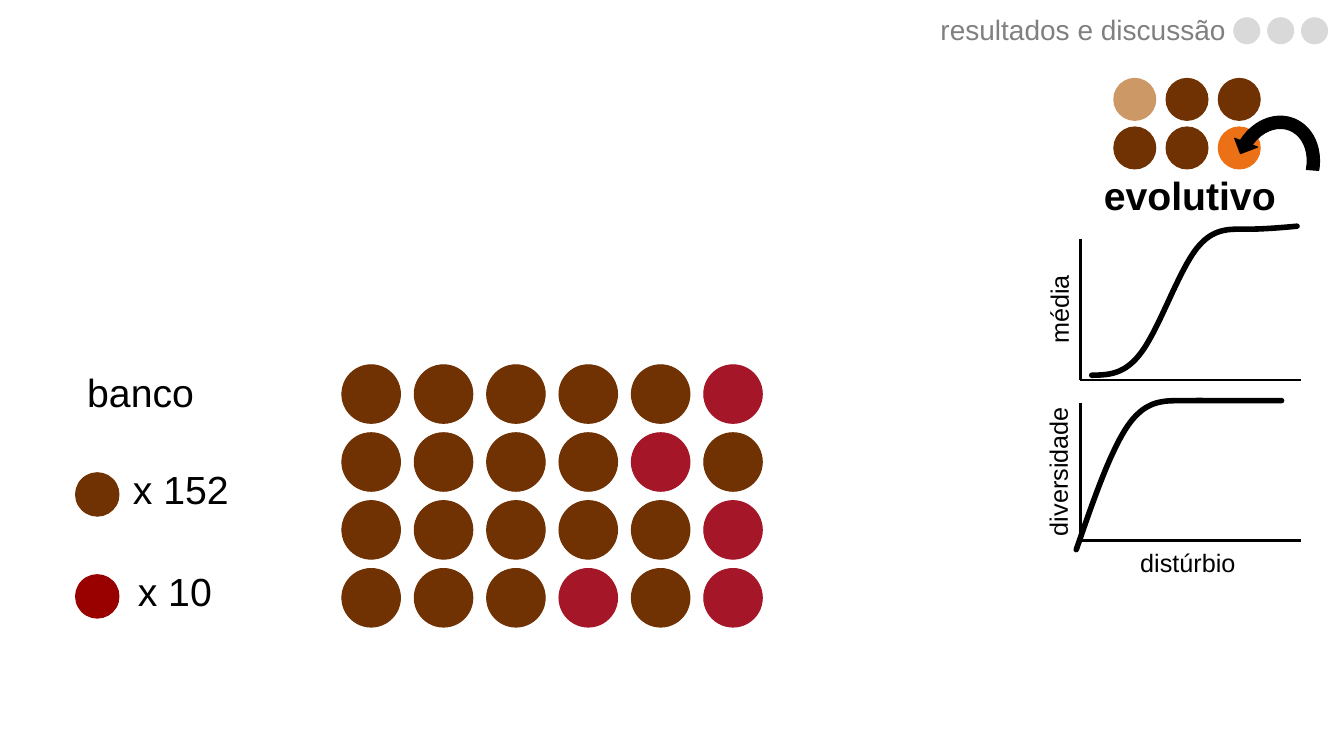
from lxml import etree
from pptx import Presentation
from pptx.chart.data import CategoryChartData
from pptx.dml.color import RGBColor
from pptx.enum.chart import XL_CHART_TYPE as ChartType, XL_TICK_LABEL_POSITION as LabelPosition
from pptx.enum.shapes import MSO_CONNECTOR as Connector, MSO_SHAPE as Preset
from pptx.enum.text import MSO_ANCHOR as Anchor, MSO_AUTO_SIZE as AutoSize, PP_ALIGN as Align
from pptx.oxml import parse_xml
from pptx.oxml.ns import nsdecls, qn
from pptx.util import Pt

BLACK = RGBColor(0x00, 0x00, 0x00)
GREY = RGBColor(0x80, 0x80, 0x80)
LIGHT_GREY = RGBColor(0xD9, 0xD9, 0xD9)
BROWN = RGBColor(0x70, 0x31, 0x03)
TAN = RGBColor(0xCC, 0x99, 0x66)
ORANGE = RGBColor(0xEC, 0x70, 0x16)
CRIMSON = RGBColor(0xA5, 0x16, 0x28)
DARK_RED = RGBColor(0x99, 0x00, 0x00)

COMMUNITY = ["BBBBBC", "BBBBCB", "BBBBBC", "BBBCBC"]
EVOLUTION = ["TBB", "BBO"]
SPECIES_COLOURS = {"B": BROWN, "C": CRIMSON, "T": TAN, "O": ORANGE, "G": LIGHT_GREY, "R": DARK_RED}


def paint(shape, colour):
    shape.shadow.inherit = False
    shape.fill.solid()
    shape.fill.fore_color.rgb = colour
    shape.line.color.rgb = colour
    shape.line.width = Pt(0)


def add_dots(page, rows, left, top, size, step_x=0, step_y=0):
    """Draw a grid of circles, one letter of each row string per circle."""
    for row, letters in enumerate(rows):
        for column, letter in enumerate(letters):
            dot = page.shapes.add_shape(
                Preset.OVAL, Pt(left + column * step_x), Pt(top + row * step_y), Pt(size), Pt(size))
            paint(dot, SPECIES_COLOURS[letter])


def write(box, text, size, colour=BLACK, bold=False, align=Align.CENTER, spacing=0.9):
    frame = box.text_frame
    frame.word_wrap = True
    frame.auto_size = AutoSize.NONE
    frame.vertical_anchor = Anchor.MIDDLE
    para = frame.paragraphs[0]
    para.alignment = align
    para.line_spacing = spacing
    span = para.add_run()
    span.text = text
    span.font.name = "Arial"
    span.font.size = Pt(size)
    span.font.bold = bold
    span.font.color.rgb = colour


def add_label(page, text, left, top, bold=False):
    box = page.shapes.add_textbox(Pt(left), Pt(top), Pt(199.4), Pt(104.4))
    write(box, text, 28, bold=bold)


def add_axis_label(page, text, left, top, rotation=0):
    box = page.shapes.add_textbox(Pt(left), Pt(top), Pt(141.8), Pt(37.4))
    box.rotation = rotation
    write(box, text, 18, spacing=1.0)


def add_axis(page, x1, y1, x2, y2):
    line = page.shapes.add_connector(Connector.STRAIGHT, Pt(x1), Pt(y1), Pt(x2), Pt(y2))
    line.line.color.rgb = BLACK
    line.line.width = Pt(2)
    etree.SubElement(line._element.spPr, qn("a:effectLst"))


def add_curve(page, values, left, top, plot_x):
    """Add a smooth line chart without axes; plot_x is the plot's left edge as a share."""
    data = CategoryChartData()
    data.categories = ["1", "2", "3", "4", "5"]
    data.add_series("Series 1", values)
    chart = page.shapes.add_chart(
        ChartType.LINE, Pt(left), Pt(top), Pt(193), Pt(129.6), data).chart
    chart.has_title = False
    chart.has_legend = False
    chart.font.name = "Calibri"
    chart.font.size = Pt(10)
    chart.font.color.rgb = BLACK
    for axis in (chart.category_axis, chart.value_axis):
        axis.has_major_gridlines = False
        axis.tick_label_position = LabelPosition.NONE
        axis.visible = False
    # Room above 100 keeps the smoothed plateau from being clipped.
    chart.value_axis.minimum_scale = 0
    chart.value_axis.maximum_scale = 101
    chart.plots[0].vary_by_categories = False
    series = chart.plots[0].series[0]
    series.smooth = True
    series.format.line.color.rgb = BLACK
    series.format.line.width = Pt(4)
    series.format.line._get_or_add_ln().set("cap", "rnd")

    plot_area = chart._chartSpace.chart.plotArea
    for layout in plot_area.findall(qn("c:layout")):
        plot_area.remove(layout)
    plot_area.insert(0, parse_xml(
        f'<c:layout {nsdecls("c")}><c:manualLayout><c:layoutTarget val="inner"/>'
        '<c:xMode val="edge"/><c:yMode val="edge"/>'
        f'<c:x val="{plot_x}"/><c:y val="0.15"/><c:w val="0.95"/><c:h val="0.83"/>'
        '</c:manualLayout></c:layout>'))


def add_return_arrow(page):
    arrow = page.shapes.add_shape(
        Preset.CIRCULAR_ARROW, Pt(875.5), Pt(77.8), Pt(70.6), Pt(82.8))
    paint(arrow, BLACK)
    for index, value in enumerate([0.125, 11.423, 204.577, 117.73, 0.125]):
        arrow.adjustments[index] = value
    arrow.rotation = 200.9
    arrow._element.spPr.xfrm.set("flipV", "1")


def add_heading(page):
    title = page.shapes.title
    title.left, title.top, title.width, title.height = Pt(560.2), Pt(5.8), Pt(322.6), Pt(33.8)
    write(title, "resultados e discussão", 20, GREY, align=Align.RIGHT)
    add_dots(page, ["GGG"], 881.3, 12.7, 18.6, step_x=24.2)


def add_evolution_panel(page):
    add_dots(page, EVOLUTION, 795.6, 56, 30, step_x=37.3, step_y=34.7)
    add_return_arrow(page)
    add_label(page, "evolutivo", 750.2, 89.3, bold=True)

    add_curve(page, [0, 17, 83, 98, 100], 753.8, 141.1, 0.04)
    add_axis(page, 771.8, 271.4, 929.5, 271.4)
    add_axis(page, 771.8, 170.6, 771.8, 271.4)
    add_axis_label(page, "média", 685.4, 202.3, rotation=270)

    add_curve(page, [0, 83, 100, 100, 100], 746.6, 265.7, 0.02)
    add_axis(page, 771.8, 385.9, 929.5, 385.9)
    add_axis(page, 771.8, 288, 771.8, 385.9)
    add_axis_label(page, "diversidade", 684.7, 318.2, rotation=270)
    add_axis_label(page, "distúrbio", 777.6, 383)


def add_seed_bank(page):
    add_label(page, "banco", 0.7, 229.7)
    add_dots(page, ["B", "R"], 54, 337.7, 31, step_y=72.8)
    add_label(page, "x 152", 29.4, 298.8)
    add_label(page, "x 10", 25.2, 372.2)


def main():
    deck = Presentation()
    deck.slide_width, deck.slide_height = Pt(960), Pt(540)
    page = deck.slides.add_slide(deck.slide_layouts[5])
    add_heading(page)
    add_evolution_panel(page)
    add_dots(page, COMMUNITY, 244.2, 260.6, 41.8, step_x=51.7, step_y=48.5)
    add_seed_bank(page)
    deck.save("out.pptx")


if __name__ == "__main__":
    main()
